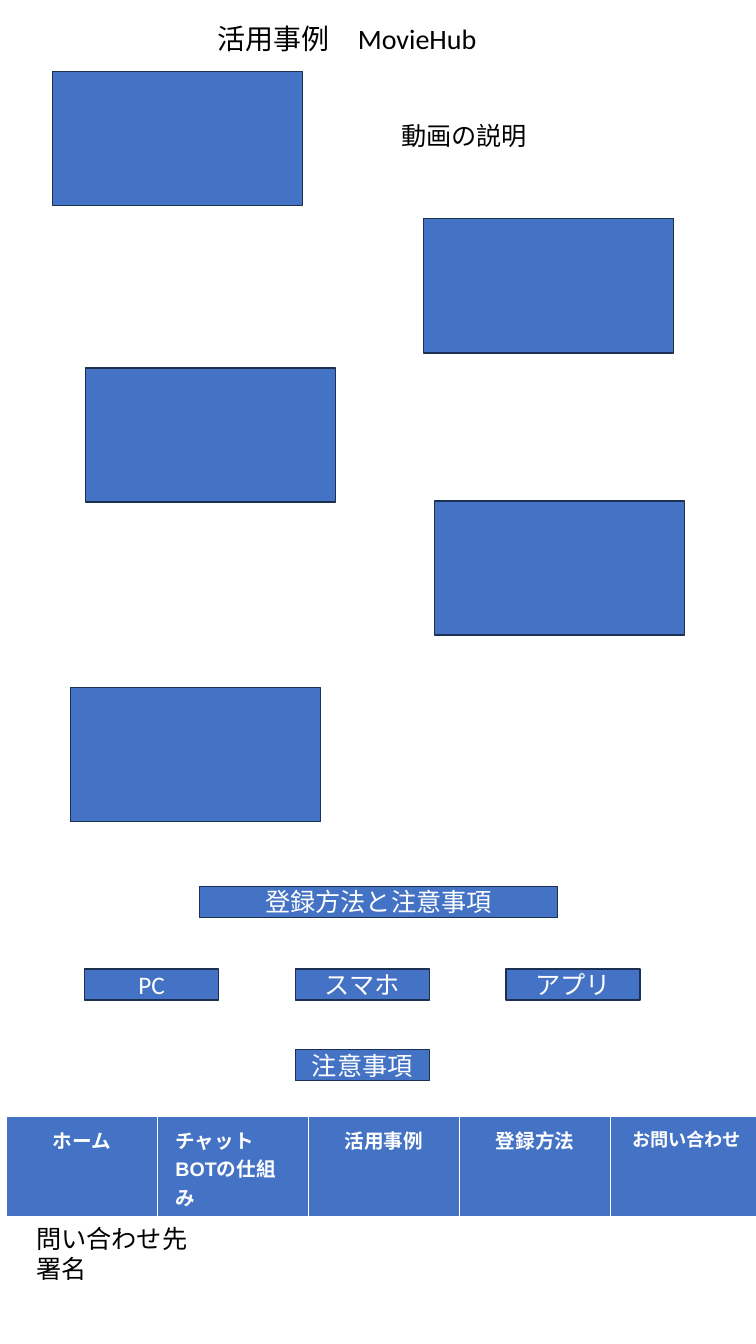
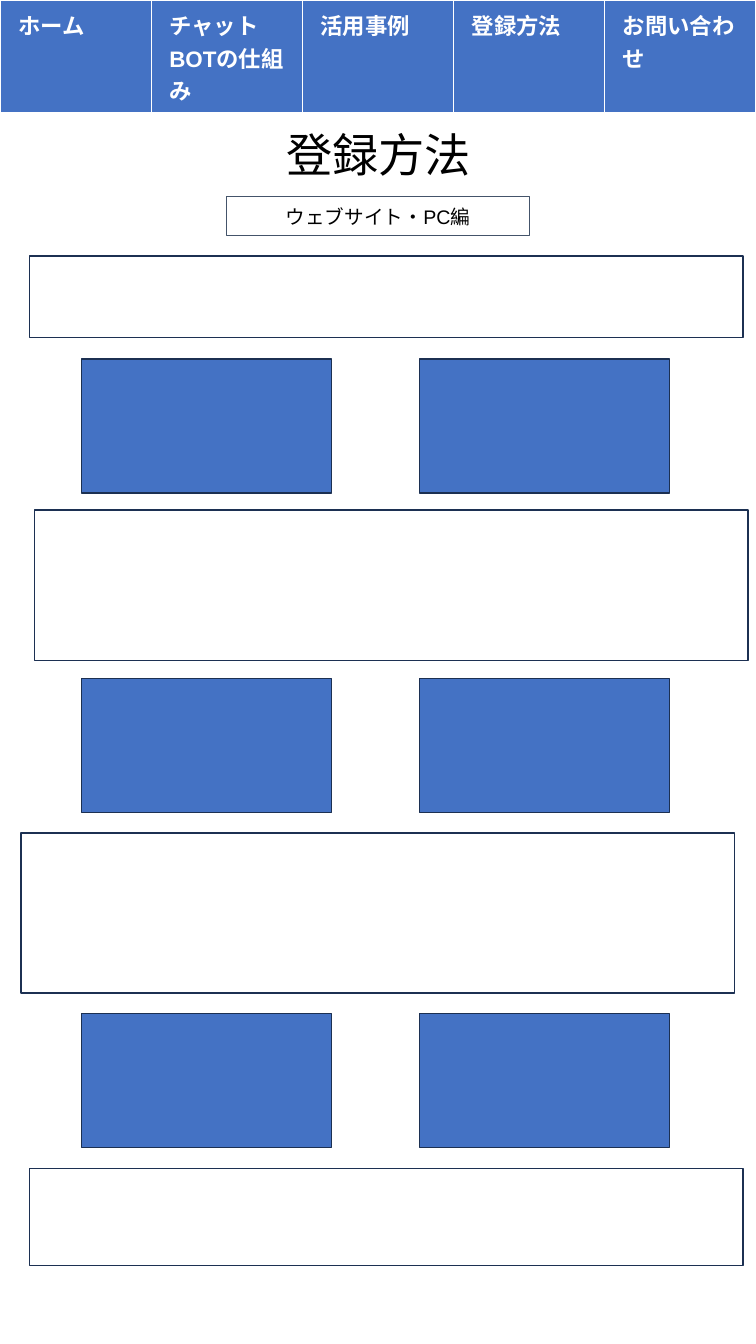
from dataclasses import dataclass
from typing import Optional

from lxml.etree import SubElement
from pptx import Presentation
from pptx.dml.color import RGBColor
from pptx.enum.shapes import MSO_SHAPE
from pptx.enum.text import MSO_ANCHOR, PP_ALIGN
from pptx.oxml.ns import qn
from pptx.util import Inches, Pt


@dataclass(frozen=True)
class Theme:
    blue: str = "4472C4"
    navy: str = "1C3052"
    slate: str = "44546A"
    white: str = "FFFFFF"
    black: str = "000000"
    body_font: str = "Calibri"
    nav_font: str = "Arial"
    heading: int = 33
    subheading: int = 20
    body: int = 18
    menu: int = 16
    small: int = 14
    tight: int = 13


@dataclass(frozen=True)
class Box:
    x: float
    y: float
    w: float
    h: float

    def emu(self) -> tuple:
        return tuple(Inches(v) for v in (self.x, self.y, self.w, self.h))


@dataclass(frozen=True)
class Style:
    size: int
    color: str
    font: str
    bold: bool = False
    align: PP_ALIGN = PP_ALIGN.LEFT
    spacing: Optional[float] = None
    east_asian: Optional[str] = None


T = Theme()
LABEL = Style(T.body, T.white, T.body_font, align=PP_ALIGN.CENTER)
BODY = Style(T.body, T.black, T.body_font)
NAV = ["ホーム", "チャットBOTの仕組み", "活用事例", "登録方法", "お問い合わせ"]
VIDEO_W, VIDEO_H = 2.48, 1.33
BUTTON_W, BUTTON_H = 1.33, 0.31


def write(tf, text: str, style: Style) -> None:
    tf.text = text
    tf.word_wrap = True
    for p in tf.paragraphs:
        p.alignment = style.align
        if style.spacing:
            p.line_spacing = style.spacing
        for r in p.runs:
            r.font.size = Pt(style.size)
            r.font.name = style.font
            r.font.bold = style.bold
            r.font.color.rgb = RGBColor.from_string(style.color)
            if style.east_asian:
                SubElement(r._r.get_or_add_rPr(), qn("a:ea"), typeface=style.east_asian)


def add_text(s, box: Box, text: str, style: Style, anchor=MSO_ANCHOR.TOP) -> None:
    tf = s.shapes.add_textbox(*box.emu()).text_frame
    write(tf, text, style)
    tf.vertical_anchor = anchor


def add_title(s, box: Box, text: str, size: int, align: PP_ALIGN) -> None:
    style = Style(size, T.black, T.body_font, align=align, spacing=0.9)
    add_text(s, box, text, style, MSO_ANCHOR.MIDDLE)


def add_rect(s, box: Box, fill: Optional[str] = T.blue, line: str = T.navy,
             width: float = 1, text: str = "", style: Style = LABEL) -> None:
    sp = s.shapes.add_shape(MSO_SHAPE.RECTANGLE, *box.emu())
    sp.shadow.inherit = False
    if fill:
        sp.fill.solid()
        sp.fill.fore_color.rgb = RGBColor.from_string(fill)
    else:
        sp.fill.background()
    sp.line.color.rgb = RGBColor.from_string(line)
    sp.line.width = Pt(width)
    if text:
        write(sp.text_frame, text, style)
        sp.text_frame.vertical_anchor = MSO_ANCHOR.MIDDLE


def add_video(s, x: float, y: float) -> None:
    add_rect(s, Box(x, y, VIDEO_W, VIDEO_H))


def add_button(s, x: float, y: float, text: str, w: float = BUTTON_W) -> None:
    add_rect(s, Box(x, y, w, BUTTON_H), text=text)


def set_borders(cell) -> None:
    tc_pr = cell._tc.get_or_add_tcPr()
    for side, width in (("L", 1), ("R", 1), ("T", 1), ("B", 3)):
        ln = SubElement(tc_pr, qn(f"a:ln{side}"), w=str(Pt(width)))
        fill = SubElement(ln, qn("a:solidFill"))
        SubElement(fill, qn("a:srgbClr"), val=T.white)


def add_nav(s, box: Box, styles: list[Style]) -> None:
    table = s.shapes.add_table(1, len(NAV), *box.emu()).table
    for i, (text, style) in enumerate(zip(NAV, styles)):
        table.columns[i].width = Inches(box.w / len(NAV))
        cell = table.cell(0, i)
        cell.margin_left = cell.margin_right = Inches(0.18)
        cell.margin_top = cell.margin_bottom = Inches(0.09)
        set_borders(cell)
        cell.fill.solid()
        cell.fill.fore_color.rgb = RGBColor.from_string(T.blue)
        write(cell.text_frame, text, style)


def nav_style(size: int, align: PP_ALIGN = PP_ALIGN.LEFT) -> Style:
    return Style(size, T.white, T.nav_font, True, align)


def build_examples(s) -> None:
    add_title(s, Box(2.06, 0.1, 3.39, 0.61), "活用事例　MovieHub",
              T.subheading, PP_ALIGN.LEFT)
    for x, y in ((0.52, 0.71), (4.2, 2.17), (0.85, 3.65), (4.31, 4.97), (0.7, 6.82)):
        add_video(s, x, y)
    add_button(s, 1.98, 8.79, "登録方法と注意事項", 3.55)
    for i, text in enumerate(("PC", "スマホ", "アプリ")):
        add_button(s, 0.84 + 2.09 * i, 9.61, text)
    add_button(s, 2.93, 10.41, "注意事項")
    centred = nav_style(T.small, PP_ALIGN.CENTER)
    add_nav(s, Box(0.06, 11.07, 7.5, 1.01),
            [centred, nav_style(T.small), centred, centred,
             nav_style(T.tight, PP_ALIGN.CENTER)])
    add_text(s, Box(0.26, 12.08, 1.72, 0.71), "問い合わせ先\n署名", BODY)
    add_text(s, Box(3.88, 1.14, 1.81, 0.4), "動画の説明", BODY)


def build_registration(s) -> None:
    add_title(s, Box(0.52, 1.06, 6.47, 1.01), "登録方法", T.heading, PP_ALIGN.CENTER)
    add_nav(s, Box(0, 0, 7.5, 1.13), [nav_style(T.menu)] * len(NAV))
    add_rect(s, Box(2.25, 1.95, 3, 0.39), None, T.slate, 0.75, "ウェブサイト・PC編",
             Style(T.small, T.black, T.nav_font, align=PP_ALIGN.CENTER,
                   east_asian=T.nav_font))
    for y in (3.56, 6.73, 10.05):
        for x in (0.81, 4.16):
            add_video(s, x, y)
    for x, y, h in ((0.29, 2.54, 0.81), (0.34, 5.06, 1.49),
                    (0.21, 8.26, 1.59), (0.29, 11.59, 0.96)):
        add_rect(s, Box(x, y, 7.08, h), None)


def main() -> None:
    prs = Presentation()
    prs.slide_width, prs.slide_height = Inches(7.5), Inches(13.33)
    for build in (build_examples, build_registration):
        build(prs.slides.add_slide(prs.slide_layouts[6]))
    prs.save("out.pptx")


if __name__ == "__main__":
    main()
